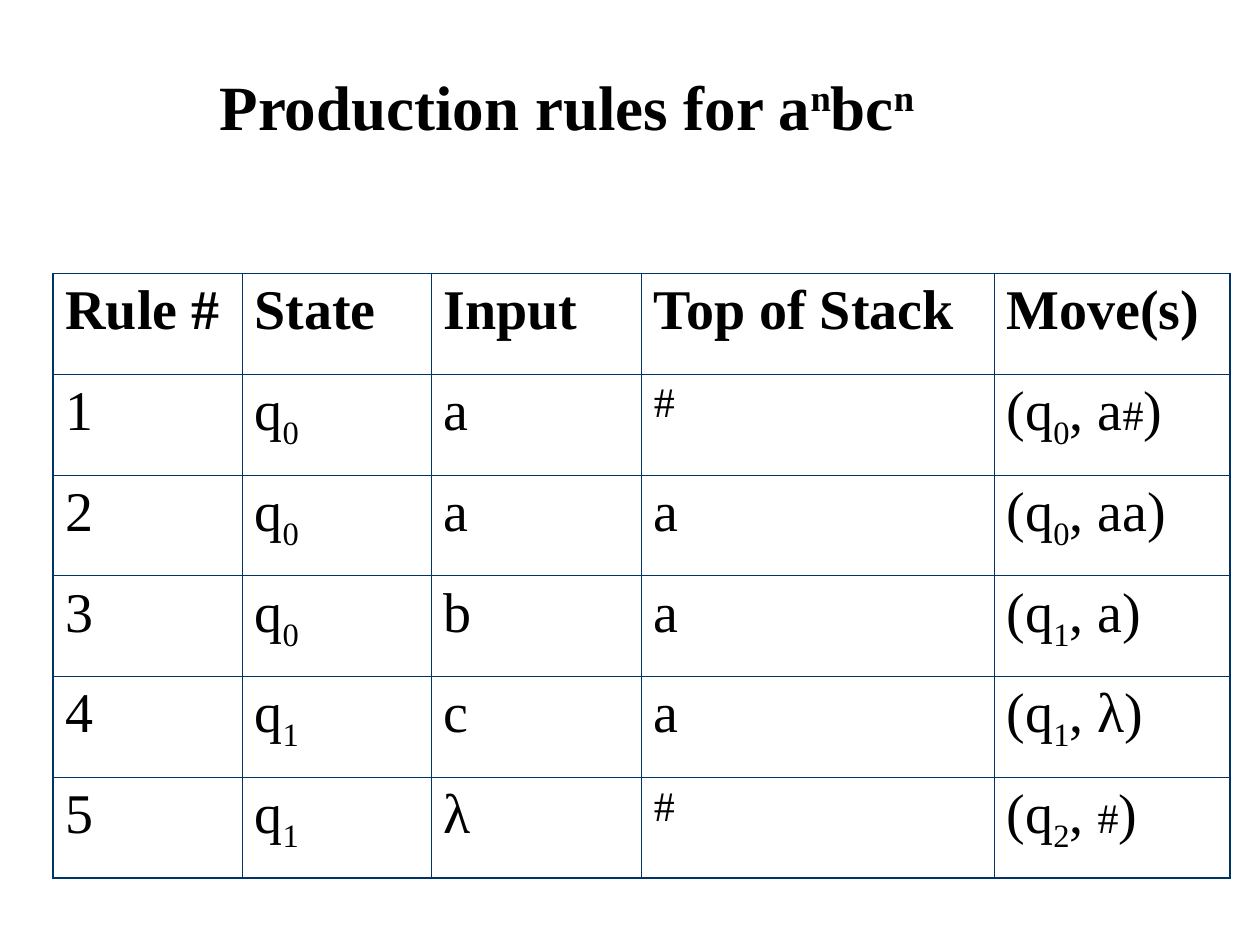
"""Build a slide with the production rules of a pushdown automaton."""
from typing import NamedTuple

from lxml.etree import SubElement
from pptx import Presentation
from pptx.dml.color import RGBColor
from pptx.enum.text import MSO_ANCHOR as Anchor, PP_ALIGN as Align
from pptx.oxml.ns import qn
from pptx.util import Inches, Pt

COLORS = {"text": "000000", "border": "003366"}
FONT = "Times New Roman"
INNER_WIDTH, OUTER_WIDTH = 0.45, 1.08
COLUMN_WIDTHS = (1.5, 1.5, 1.67, 2.8, 1.87)
ROW_HEIGHT = 0.8


class Piece(NamedTuple):
    text: str
    baseline: int = 0
    size: float | None = None


class Rule(NamedTuple):
    state: int
    symbol: str
    stack: str
    next_state: int
    pushed: str


HASH = Piece("#", size=24)
TITLE = [Piece("Production rules for a"), Piece("n", 30), Piece("bc"), Piece("n", 30)]
HEADINGS = ("Rule #", "State", "Input", "Top of Stack", "Move(s)")
RULES = (
    Rule(0, "a", "#", 0, "a#"),
    Rule(0, "a", "a", 0, "aa"),
    Rule(0, "b", "a", 1, "a"),
    Rule(1, "c", "a", 1, "λ"),
    Rule(1, "λ", "#", 2, "#"),
)


def stack_pieces(symbols: str, prefix: str = "") -> list[Piece]:
    letters = prefix + symbols.removesuffix("#")
    return [Piece(letters)] * bool(letters) + [HASH] * symbols.endswith("#")


def rule_cells(number: int, rule: Rule) -> list[list[Piece]]:
    return [
        [Piece(str(number))],
        [Piece("q"), Piece(str(rule.state), -25)],
        [Piece(rule.symbol)],
        stack_pieces(rule.stack),
        [Piece("(q"), Piece(str(rule.next_state), -25),
         *stack_pieces(rule.pushed, ", "), Piece(")")],
    ]


def write_text(frame, pieces: list[Piece], *, size: float, bold: bool = False,
               align=Align.LEFT, space_before: float = 0, line_spacing: float = 1.0) -> None:
    paragraph = frame.paragraphs[0]
    paragraph.alignment = align
    paragraph.space_before = Pt(space_before)
    paragraph.line_spacing = line_spacing
    for piece in pieces:
        run = paragraph.add_run()
        run.text = piece.text
        font = run.font
        font.name, font.size, font.bold = FONT, Pt(piece.size or size), bold
        font.color.rgb = RGBColor.from_string(COLORS["text"])
        if piece.baseline:
            run._r.get_or_add_rPr().set("baseline", str(piece.baseline * 1000))


def set_borders(cell, outer_sides: dict[str, bool]) -> None:
    properties = cell._tc.get_or_add_tcPr()
    for side, is_outer in outer_sides.items():
        width = Pt(OUTER_WIDTH if is_outer else INNER_WIDTH)
        line = SubElement(properties, qn(f"a:ln{side}"), w=str(width))
        fill = SubElement(line, qn("a:solidFill"))
        SubElement(fill, qn("a:srgbClr"), val=COLORS["border"])


def add_title(slide) -> None:
    box = slide.shapes.add_textbox(Inches(0.25), Inches(0.25), Inches(8.5), Inches(1.25))
    frame = box.text_frame
    frame.word_wrap = True
    frame.vertical_anchor = Anchor.MIDDLE
    write_text(frame, TITLE, size=36, bold=True, align=Align.CENTER, line_spacing=0.9)


def add_rule_table(slide) -> None:
    rows = [[[Piece(heading)] for heading in HEADINGS]]
    rows += [rule_cells(number, rule) for number, rule in enumerate(RULES, 1)]
    last_row, last_column = len(rows) - 1, len(HEADINGS) - 1
    table = slide.shapes.add_table(
        len(rows), len(HEADINGS), Inches(0.42), Inches(2.17),
        Inches(sum(COLUMN_WIDTHS)), Inches(ROW_HEIGHT * len(rows))).table
    table.first_row = table.horz_banding = False
    for column, width in zip(table.columns, COLUMN_WIDTHS):
        column.width = Inches(width)
    for row_index, row in enumerate(rows):
        table.rows[row_index].height = Inches(ROW_HEIGHT)
        for column_index, pieces in enumerate(row):
            cell = table.cell(row_index, column_index)
            set_borders(cell, {"L": column_index == 0, "R": column_index == last_column,
                               "T": row_index == 0, "B": row_index == last_row})
            cell.fill.background()
            write_text(cell.text_frame, pieces, size=32, bold=row_index == 0,
                       space_before=6 if pieces == [HASH] else 8)


def main() -> None:
    presentation = Presentation()
    presentation.slide_width, presentation.slide_height = Inches(10), Inches(7.5)
    slide = presentation.slides.add_slide(presentation.slide_layouts[6])
    add_title(slide)
    add_rule_table(slide)
    presentation.save("out.pptx")


if __name__ == "__main__":
    main()
